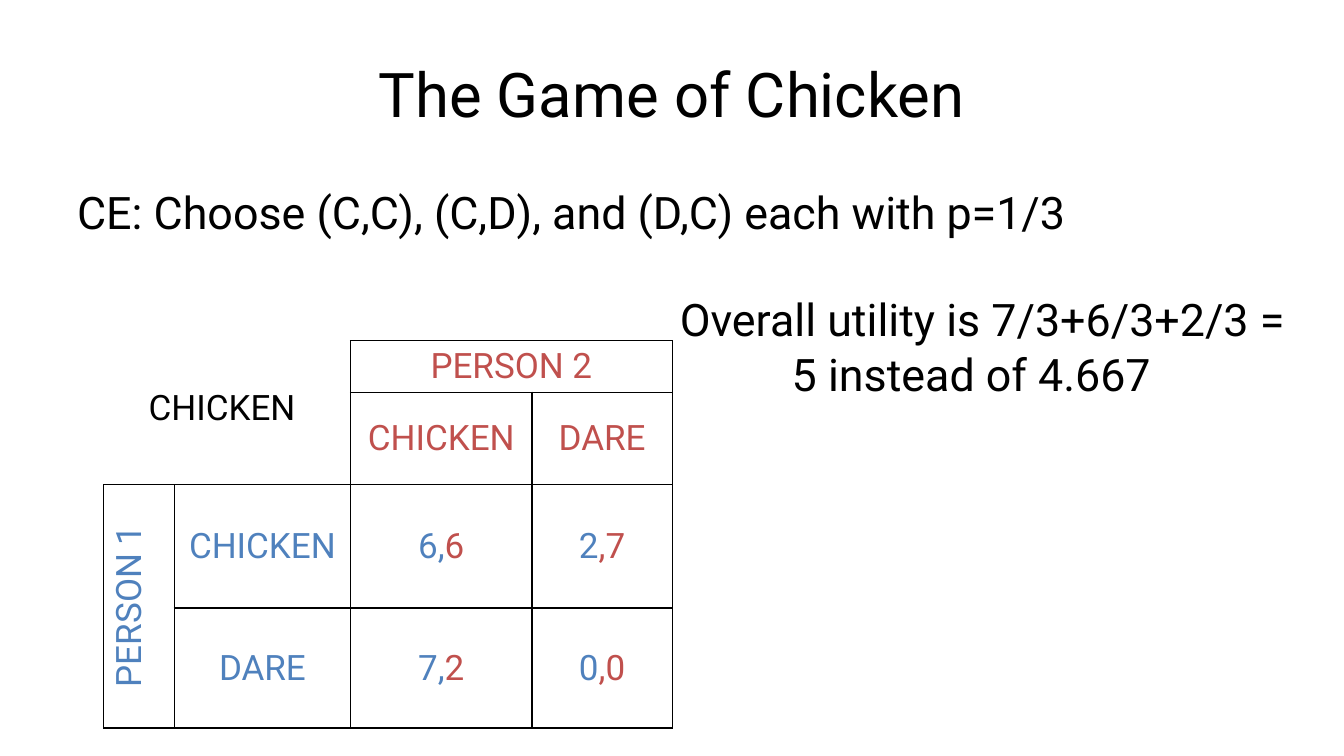
from dataclasses import dataclass

from lxml import etree
from pptx import Presentation
from pptx.dml.color import RGBColor
from pptx.enum import text
from pptx.oxml.ns import qn
from pptx.util import Pt


@dataclass(frozen=True)
class Theme:
    font: str = "Roboto"
    black: str = "000000"
    blue: str = "4F81BD"
    red: str = "C0504D"
    title_size: float = 44
    body_size: float = 32
    table_size: float = 25
    border_width: float = 1


@dataclass(frozen=True)
class Span:
    words: str
    color: str


@dataclass(frozen=True)
class Line:
    words: str
    indent: float = 0
    space_before: float = 0


@dataclass(frozen=True)
class Statement:
    left: float
    top: float
    width: float
    height: float
    lines: tuple[Line, ...]


@dataclass(frozen=True)
class Entry:
    row: int
    column: int
    spans: tuple[Span, ...]
    rows: int = 1
    columns: int = 1


THEME = Theme()
COLUMN_WIDTHS = (50.4, 126, 129.6, 100.1)
ROW_HEIGHTS = (36.9, 66, 88.2, 85.7)
CORNER = 2

ENTRIES = (
    Entry(0, 0, (Span("CHICKEN", THEME.black),), CORNER, CORNER),
    Entry(0, 2, (Span("PERSON 2", THEME.red),), columns=2),
    Entry(1, 2, (Span("CHICKEN", THEME.red),)),
    Entry(1, 3, (Span("DARE", THEME.red),)),
    Entry(2, 0, (Span("PERSON 1", THEME.blue),), rows=2),
    Entry(2, 1, (Span("CHICKEN", THEME.blue),)),
    Entry(2, 2, (Span("6,", THEME.blue), Span("6", THEME.red))),
    Entry(2, 3, (Span("2", THEME.blue), Span(",7", THEME.red))),
    Entry(3, 1, (Span("DARE", THEME.blue),)),
    Entry(3, 2, (Span("7,", THEME.blue), Span("2", THEME.red))),
    Entry(3, 3, (Span("0", THEME.blue), Span(",0", THEME.red))),
)

STATEMENTS = (
    Statement(48, 128.5, 890, 46, (
        Line("CE: Choose (C,C), (C,D), and (D,C) each with p=1/3"),
    )),
    Statement(478.5, 205, 473, 84, (
        Line("Overall utility is 7/3+6/3+2/3 ="),
        Line("5 instead of 4.667", indent=80, space_before=1),
    )),
)


def add_run(paragraph, span: Span, size: float) -> None:
    run = paragraph.add_run()
    run.text = span.words
    run.font.name = THEME.font
    run.font.size = Pt(size)
    run.font.color.rgb = RGBColor.from_string(span.color)


def set_border(cell, side: str, visible: bool) -> None:
    properties = cell._tc.get_or_add_tcPr()
    border = etree.SubElement(properties, qn(f"a:ln{side}"), w=str(int(Pt(THEME.border_width))))
    if visible:
        fill = etree.SubElement(border, qn("a:solidFill"))
        etree.SubElement(fill, qn("a:srgbClr"), val=THEME.black)
    else:
        etree.SubElement(border, qn("a:noFill"))


def write_title(slide) -> None:
    title = slide.shapes.title
    title.left, title.top, title.width, title.height = Pt(48), Pt(21.6), Pt(864), Pt(90)
    title.text_frame.vertical_anchor = text.MSO_ANCHOR.MIDDLE
    paragraph = title.text_frame.paragraphs[0]
    paragraph.alignment = text.PP_ALIGN.CENTER
    add_run(paragraph, Span("The Game of Chicken", THEME.black), THEME.title_size)


def write_entry(payoffs, entry: Entry) -> None:
    cell = payoffs.cell(entry.row, entry.column)
    if entry.rows * entry.columns > 1:
        cell.merge(payoffs.cell(entry.row + entry.rows - 1, entry.column + entry.columns - 1))
    paragraph = cell.text_frame.paragraphs[0]
    paragraph.alignment = text.PP_ALIGN.CENTER
    for span in entry.spans:
        add_run(paragraph, span, THEME.table_size)


def add_payoffs(slide) -> None:
    payoffs = slide.shapes.add_table(
        len(ROW_HEIGHTS), len(COLUMN_WIDTHS), Pt(74), Pt(243.3),
        Pt(sum(COLUMN_WIDTHS)), Pt(sum(ROW_HEIGHTS)),
    ).table
    payoffs.first_row = payoffs.horz_banding = False
    for column, width in zip(payoffs.columns, COLUMN_WIDTHS):
        column.width = Pt(width)
    for row, height in zip(payoffs.rows, ROW_HEIGHTS):
        row.height = Pt(height)
    for row in range(len(ROW_HEIGHTS)):
        for column in range(len(COLUMN_WIDTHS)):
            cell = payoffs.cell(row, column)
            in_corner = row < CORNER and column < CORNER
            for side in "LRTB":
                set_border(cell, side, not in_corner or side in "RB")
            cell.fill.background()
            cell.vertical_anchor = text.MSO_ANCHOR.MIDDLE
    for entry in ENTRIES:
        write_entry(payoffs, entry)
    game_name = payoffs.cell(0, 0)
    game_name.margin_right, game_name.margin_bottom = Pt(14.4), Pt(10)
    payoffs.cell(2, 0)._tc.get_or_add_tcPr().set("vert", "vert270")


def add_statement(slide, statement: Statement) -> None:
    frame = slide.shapes.add_textbox(
        Pt(statement.left), Pt(statement.top), Pt(statement.width), Pt(statement.height)
    ).text_frame
    frame.word_wrap = True
    for index, line in enumerate(statement.lines):
        paragraph = frame.add_paragraph() if index else frame.paragraphs[0]
        if line.indent:
            paragraph._p.get_or_add_pPr().set("marL", str(int(Pt(line.indent))))
        if line.space_before:
            paragraph.space_before = Pt(line.space_before)
        add_run(paragraph, Span(line.words, THEME.black), THEME.body_size)


def main() -> None:
    deck = Presentation()
    deck.slide_width, deck.slide_height = Pt(960), Pt(540)
    slide = deck.slides.add_slide(deck.slide_layouts[5])
    write_title(slide)
    add_payoffs(slide)
    for statement in STATEMENTS:
        add_statement(slide, statement)
    deck.save("out.pptx")


if __name__ == "__main__":
    main()
